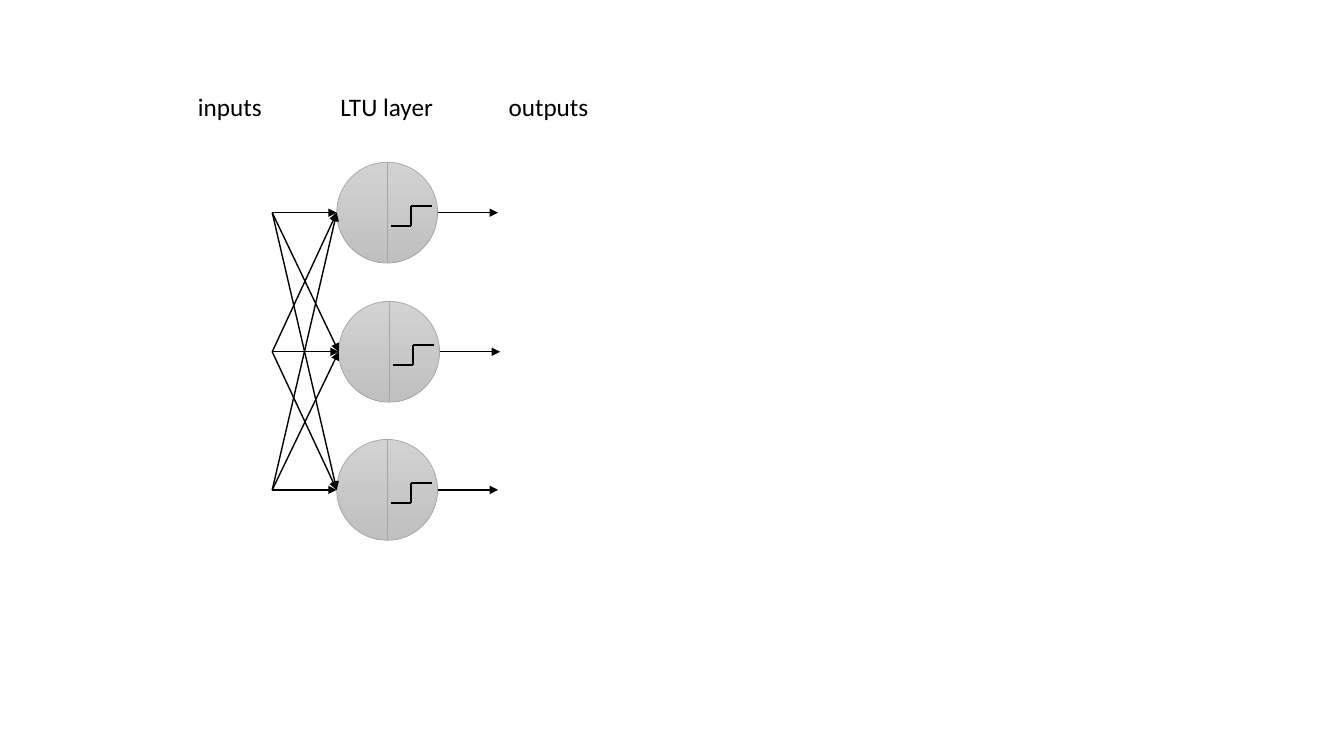
from itertools import product
from lxml.etree import SubElement
from pptx import Presentation
from pptx.dml.color import RGBColor
from pptx.enum.shapes import MSO_CONNECTOR, MSO_SHAPE
from pptx.enum.text import MSO_ANCHOR, MSO_AUTO_SIZE, PP_ALIGN
from pptx.oxml.ns import qn
from pptx.util import Pt

PX = 9144
BLACK = RGBColor(0x00, 0x00, 0x00)
GRAY = RGBColor(0xA5, 0xA5, 0xA5)
LIGHT = RGBColor(0xD2, 0xD2, 0xD2)
DARK = RGBColor(0xC0, 0xC0, 0xC0)

DIAMETER = 100
RADIUS = DIAMETER // 2
INPUT_X = 270
OUTPUT_LENGTH = 60
NEURONS = [(334, 211), (336, 349), (334, 486)]
LABELS = [("inputs", 186, 84), ("LTU layer", 327, 113), ("outputs", 494, 100)]

prs = Presentation()
prs.slide_width, prs.slide_height = 1333 * PX, 750 * PX
s = prs.slides.add_slide(prs.slide_layouts[6])


def add_line(x1, y1, x2, y2, color=BLACK, width=1.0, arrow=False):
    c = s.shapes.add_connector(
        MSO_CONNECTOR.STRAIGHT, x1 * PX, y1 * PX, x2 * PX, y2 * PX)
    c.line.color.rgb = color
    c.line.width = Pt(width)
    if arrow:
        SubElement(c.line._get_or_add_ln(), qn("a:tailEnd"), type="triangle")
    SubElement(c._element.spPr, qn("a:effectLst"))


for text, x, w in LABELS:
    sp = s.shapes.add_textbox(x * PX, 86 * PX, w * PX, 40 * PX)
    tf = sp.text_frame
    tf_format = {"word_wrap": False, "auto_size": MSO_AUTO_SIZE.SHAPE_TO_FIT_TEXT,
                 "vertical_anchor": MSO_ANCHOR.TOP}
    for name, value in tf_format.items():
        setattr(tf, name, value)
    p = tf.paragraphs[0]
    p.alignment = PP_ALIGN.CENTER
    r = p.add_run()
    r.text = text
    for name, value in {"name": "Calibri", "size": Pt(18)}.items():
        setattr(r.font, name, value)
    r.font.color.rgb = BLACK

for x, y in NEURONS:
    sp = s.shapes.add_shape(
        MSO_SHAPE.OVAL, x * PX, (y - RADIUS) * PX, DIAMETER * PX, DIAMETER * PX)
    sp.shadow.inherit = False
    sp.fill.gradient()
    sp.fill.gradient_angle = 270
    for stop, color in zip(sp.fill.gradient_stops, (LIGHT, DARK)):
        stop.color.rgb = color
    sp.line.color.rgb = GRAY
    sp.line.width = Pt(0.5)

    center = x + RADIUS
    add_line(center, y - RADIUS, center, y + RADIUS, GRAY, 0.5)
    step = [(x + 54, y + 13), (x + 74, y + 13), (x + 74, y - 7), (x + 94, y - 7)]
    for start, end in zip(step, step[1:]):
        add_line(*start, *end, width=1.5)
    add_line(x + DIAMETER, y, x + DIAMETER + OUTPUT_LENGTH, y, arrow=True)

for (_, input_y), (x, y) in product(NEURONS, NEURONS):
    add_line(INPUT_X, input_y, x, y, arrow=True)

prs.save("out.pptx")
